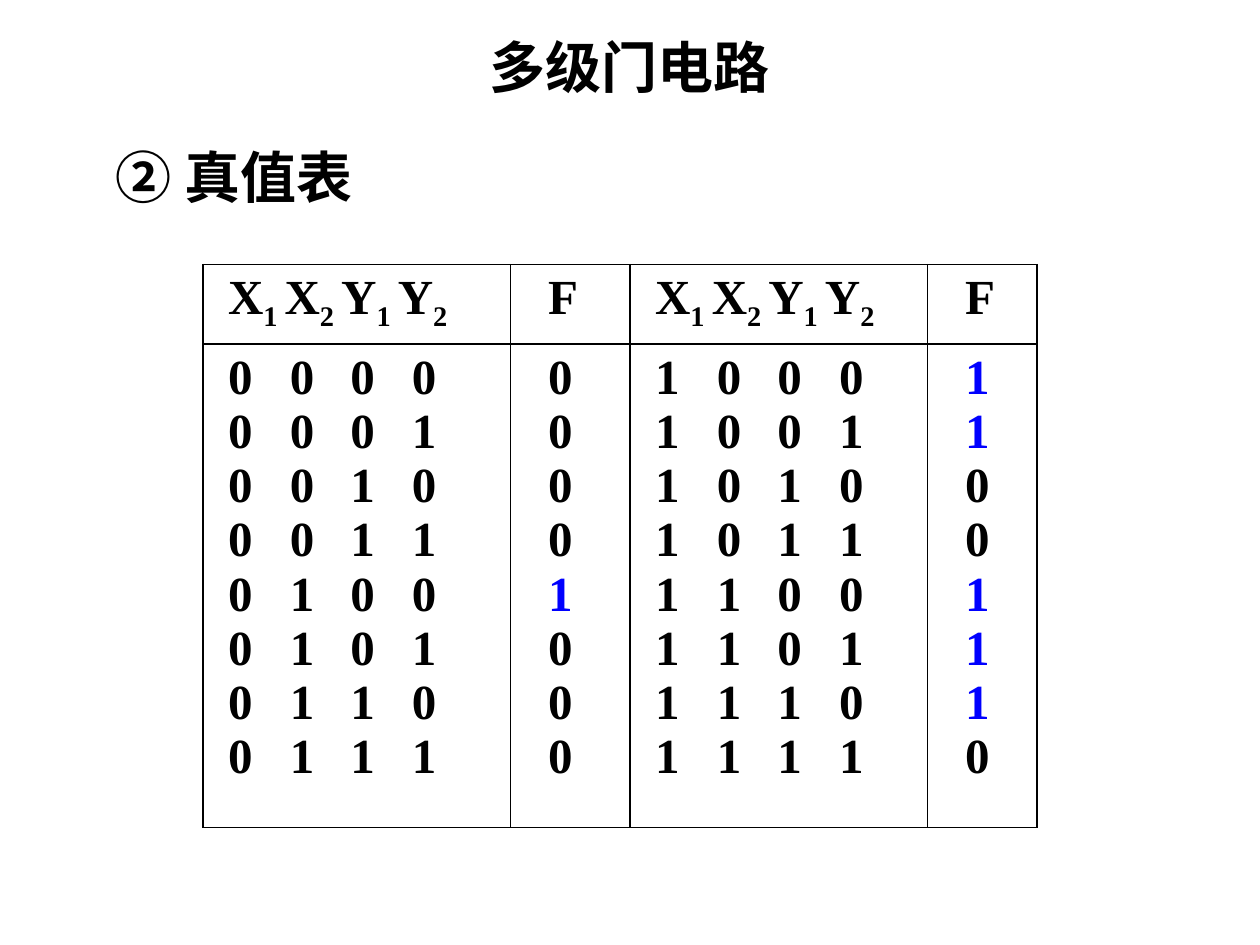
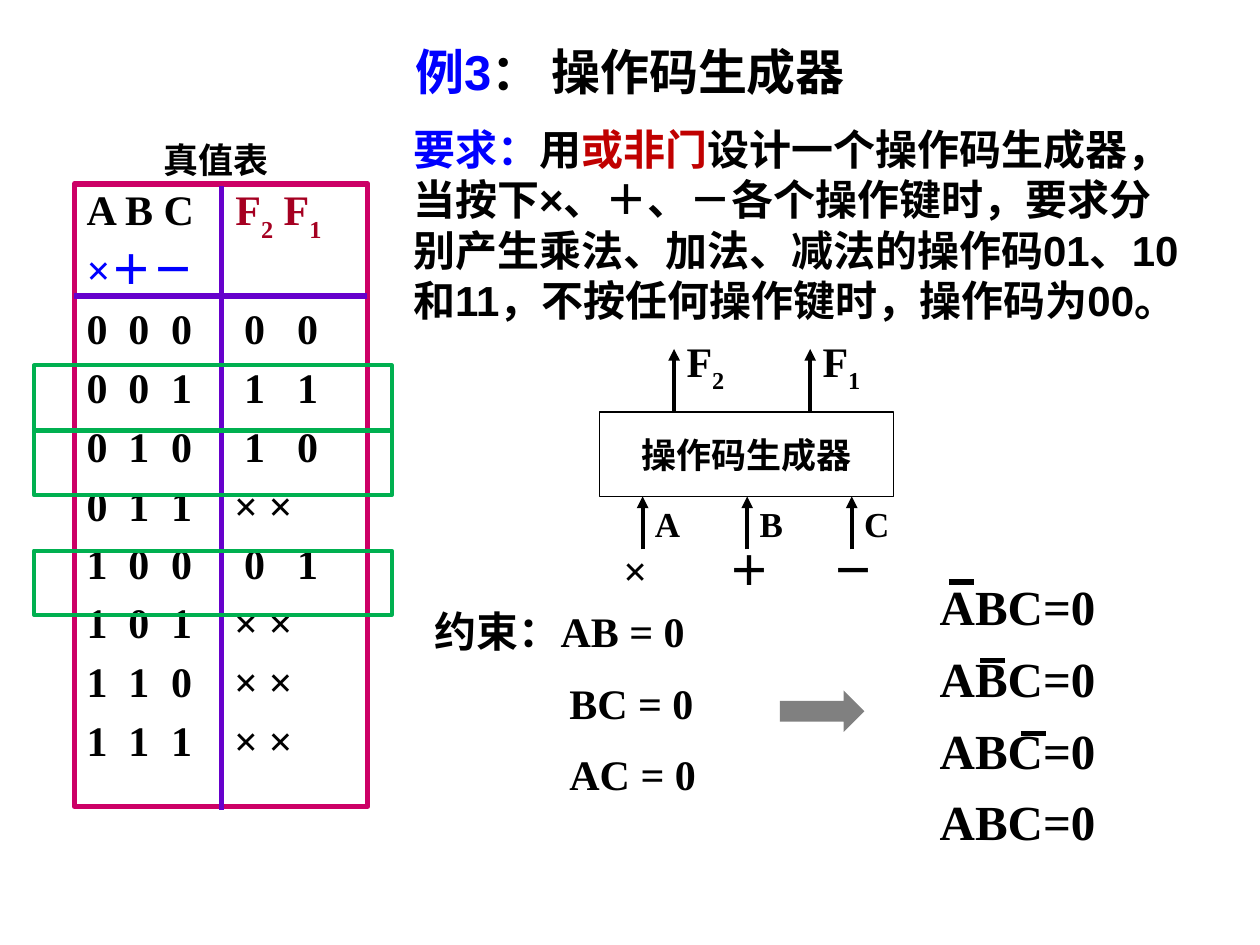
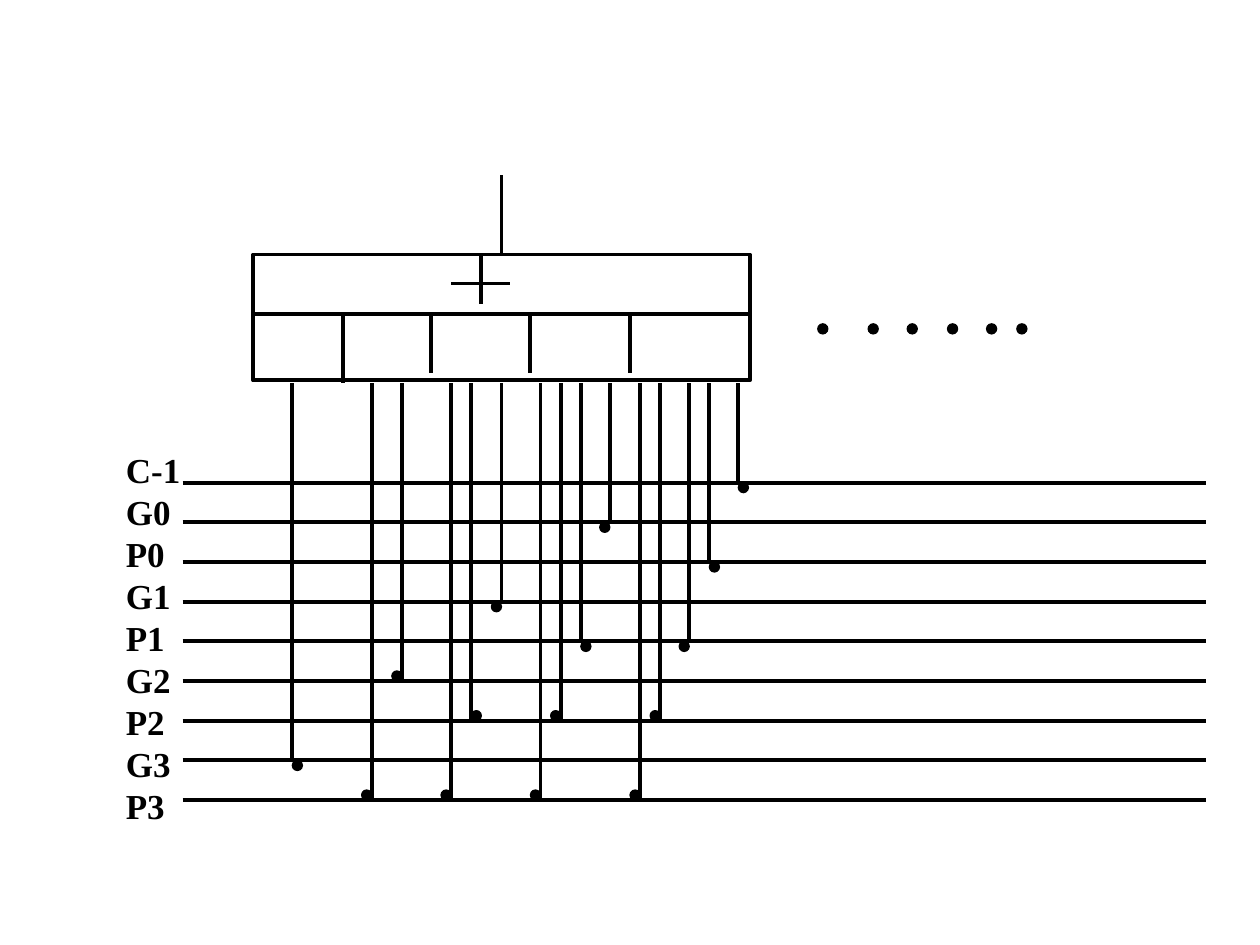
"""Build three slides on multilevel gate circuits, an opcode generator and a carry network."""
from lxml import etree
from pptx import Presentation
from pptx.dml.color import RGBColor
from pptx.enum.shapes import MSO_CONNECTOR, MSO_SHAPE
from pptx.enum.text import MSO_ANCHOR, PP_ALIGN
from pptx.oxml.ns import qn
from pptx.util import Inches, Pt

RECT, OVAL, ARROW = MSO_SHAPE.RECTANGLE, MSO_SHAPE.OVAL, MSO_SHAPE.RIGHT_ARROW
STRAIGHT = MSO_CONNECTOR.STRAIGHT
CENTER, MIDDLE, TOP, LEFT = PP_ALIGN.CENTER, MSO_ANCHOR.MIDDLE, MSO_ANCHOR.TOP, PP_ALIGN.LEFT
SANS, SERIF = "Arial", "Times New Roman"
COLORS = {"ink": "000000", "blue": "0000FF", "red": "C00000", "wine": "A50021", "white": "FFFFFF",
          "frame": "CC0066", "rule": "6600CC", "green": "00B050", "gray": "808080"}

GATE_TITLE = [("多级门电路", "ink")]
GATE_HEADING = [("② 真值表", "ink")]
GATE_INPUTS = [("X", "ink"), ("1 ", "ink", -25), ("X", "ink"), ("2 ", "ink", -25),
               ("Y", "ink"), ("1 ", "ink", -25), ("Y", "ink"), ("2", "ink", -25)]
GATE_OUTPUTS = ["00001000", "11001110"]
GATE_COLS, GATE_ROWS = [2.44, 0.95, 2.36, 0.87], [0.63, 3.83]
GATE_TABS = (0.49, 0.97, 1.46)

CODE_TITLE = [("例3", "blue"), ("： 操作码生成器", "ink")]
CODE_TASK = [("要求：", "blue"), ("用", "ink"), ("或非门", "red"),
             ("设计一个操作码生成器，当按下×、＋、－各个操作键时，要求分别产生乘法、加法、减法的"
              "操作码01、10和11，不按任何操作键时，操作码为00。", "ink")]
CODE_HEADER = [("A B C\t", "ink"), ("F", "wine"), ("2", "wine", -30), (" F", "wine"), ("1", "wine", -30)]
CODE_KEYS = [("×＋－", "blue")]
CODE_OUTPUTS = ["00", "11", "10", None, "01", None, None, None]
HEADER_TABS, OUTPUT_TABS, UNUSED_TABS = (1.18,), (0.33, 0.67, 1.25, 1.67), (0.33, 0.67, 1.17)
MARKED_ROWS = [2.9, 3.42, 4.37]
OUTPUTS = [("2", 5.35), ("1", 6.43)]
KEYS = [("A", "×"), ("B", "＋"), ("C", "－")]
CONSTRAINTS = ["约束：", "AB = 0", "BC = 0", "AC = 0"]
OVERBARS = [(7.53, 4.62), (7.78, 5.24), (8.1, 5.82)]

RAILS = ["C-1", "G0", "P0", "G1", "P1", "G2", "P2", "G3", "P3"]
RAISED = {"G2", "P2", "P3"}
TAPS = [(2.32, "G3", "right"), (2.95, "P3", "left"), (3.19, "G2", "left"), (3.58, "P3", "left"),
        (3.74, "P2", "right"), (3.98, "G1", "left"), (4.29, "P3", "left"), (4.45, "P2", "left"),
        (4.61, "P1", "right"), (4.84, "G0", "left"), (5.08, "P3", "left"), (5.24, "P2", "left"),
        (5.47, "P1", "left"), (5.63, "P0", "right"), (5.86, "C-1", "right")]
GATE_LINES = [(2.01, 2.49, 5.94, 2.49), (2.72, 2.49, 2.72, 3.04), (3.42, 2.49, 3.42, 2.96),
              (4.21, 2.49, 4.21, 2.96), (5, 2.49, 5, 2.96), (3.58, 2.25, 4.05, 2.25),
              (3.82, 2.02, 3.82, 2.41), (3.98, 2.02, 3.98, 1.39)]
ELLIPSIS = [6.49, 6.89, 7.2, 7.52, 7.83, 8.07]
DOT = 0.08


def rgb(name):
    return RGBColor.from_string(COLORS[name])


def add_tabs(p, stops):
    tab_list = etree.SubElement(p._p.get_or_add_pPr(), qn("a:tabLst"))
    for x in stops:
        etree.SubElement(tab_list, qn("a:tab"), pos=str(Inches(x)), algn="l")


def write(tf, paragraphs, size, font, align=LEFT, before=0, spacing=None, tabs=None):
    for i, runs in enumerate(paragraphs):
        p = tf.paragraphs[0] if i == 0 else tf.add_paragraph()
        if tabs and tabs[i]:
            add_tabs(p, tabs[i])
        p.alignment = align
        if spacing:
            p.line_spacing = spacing
        if i and before:
            p.space_before = Pt(before)
        for text, color, *base in runs:
            r = p.add_run()
            r.text = text
            r.font.size, r.font.name, r.font.bold = Pt(size), font, True
            r.font.color.rgb = rgb(color)
            if base:
                r.font._element.set("baseline", str(base[0] * 1000))


def add_text(s, box, paragraphs, size, font=SERIF, **style):
    tf = s.shapes.add_textbox(*map(Inches, box)).text_frame
    tf.word_wrap = True
    write(tf, paragraphs, size, font, **style)
    return tf


def add_title(s, top, runs, size):
    add_text(s, (0, top, 10, 0.6), [runs], size, SANS, align=CENTER)


def add_box(s, kind, box, fill=None, line=None, width=2.25):
    sp = s.shapes.add_shape(kind, *map(Inches, box))
    sp.shadow.inherit = False
    if fill:
        sp.fill.solid()
        sp.fill.fore_color.rgb = rgb(fill)
    else:
        sp.fill.background()
    if line:
        sp.line.color.rgb = rgb(line)
        sp.line.width = Pt(width)
    else:
        sp.line.fill.background()
    return sp


def add_line(s, x1, y1, x2, y2, color="ink", width=2.25, arrow=False):
    cn = s.shapes.add_connector(STRAIGHT, *map(Inches, (x1, y1, x2, y2)))
    cn.line.color.rgb = rgb(color)
    cn.line.width = Pt(width)
    if arrow:
        etree.SubElement(cn.line._get_or_add_ln(), qn("a:tailEnd"), type="triangle")
    etree.SubElement(cn._element.spPr, qn("a:effectLst"))


def add_dot(s, x, y):
    add_box(s, OVAL, (x, y, DOT, DOT), "ink", "ink", 0.75)


def border(cell):
    tc_pr = cell._tc.get_or_add_tcPr()
    for i, side in enumerate(("lnL", "lnR", "lnT", "lnB")):
        ln = etree.Element(qn("a:" + side), w=str(Pt(1)))
        fill = etree.SubElement(ln, qn("a:solidFill"))
        etree.SubElement(fill, qn("a:srgbClr"), val=COLORS["ink"])
        tc_pr.insert(i, ln)


def gate_slide(s):
    add_title(s, 0.21, GATE_TITLE, 32)
    add_text(s, (0.82, 1.08, 4.84, 0.63), [GATE_HEADING], 32, SANS)
    table = s.shapes.add_table(2, 4, Inches(1.61), Inches(2.1), Inches(sum(GATE_COLS)),
                               Inches(sum(GATE_ROWS))).table
    table.first_row = table.horz_banding = False
    for column, width in zip(table.columns, GATE_COLS):
        column.width = Inches(width)
    for row, height in zip(table.rows, GATE_ROWS):
        row.height = Inches(height)
    for half, outputs in enumerate(GATE_OUTPUTS):
        inputs = [[("\t".join(f"{half * 8 + i:04b}"), "ink")] for i in range(8)]
        results = [[(f, "blue" if f == "1" else "ink")] for f in outputs]
        for col, margin, head, body in ((2 * half, 0.2, GATE_INPUTS, inputs),
                                        (2 * half + 1, 0.3, [("F", "ink")], results)):
            for row, paragraphs in enumerate(([head], body)):
                cell = table.cell(row, col)
                cell.fill.background()
                border(cell)
                cell.margin_left = Inches(margin)
                write(cell.text_frame, paragraphs, 28, SERIF,
                      tabs=[GATE_TABS] * 8 if paragraphs is inputs else None)


def code_table(s):
    rows, tabs = [CODE_HEADER, CODE_KEYS], [HEADER_TABS, None]
    for i, out in enumerate(CODE_OUTPUTS):
        cells = [*f"{i:03b}", *(out or ["× ×"])]
        rows.append([("\t".join(cells), "ink")])
        tabs.append(OUTPUT_TABS if out else UNUSED_TABS)
    tf = add_box(s, RECT, (0.59, 1.46, 2.33, 4.94), "white", "frame", 3).text_frame
    tf.vertical_anchor = TOP
    write(tf, rows, 24, SERIF, before=12, spacing=0.75, tabs=tabs)
    caption = add_text(s, (1.3, 1.05, 1.5, 0.43), [[("真值表", "ink")]], 20)
    caption.margin_left = caption.margin_right = 0
    add_line(s, 1.76, 1.48, 1.76, 6.43, "rule", 3)
    add_line(s, 0.59, 2.35, 2.91, 2.35, "rule", 3)


def code_slide(s):
    code_table(s)
    tf = add_box(s, RECT, (4.76, 3.27, 2.33, 0.67), None, "ink", 0.75).text_frame
    tf.word_wrap = False
    tf.vertical_anchor = MIDDLE
    write(tf, [[("操作码生成器", "ink")]], 20, SANS, align=CENTER)
    for digit, x in OUTPUTS:
        add_line(s, x, 3.27, x, 2.77, arrow=True)
        add_text(s, (x, 2.61, 0.75, 0.5), [[("F", "ink"), (digit, "ink", -30)]], 24)
    for i, (name, key) in enumerate(KEYS):
        x = 5.1 + 0.83 * i
        add_line(s, x, 4.36, x, 3.94, arrow=True)
        add_text(s, (x - 0.25, 4.27, 0.83, 0.5), [[(key, "ink")]], 24)
        add_text(s, (x, 3.94, 0.5, 0.43), [[(name, "ink")]], 20)
    label, *equations = CONSTRAINTS
    tf = add_text(s, (3.35, 4.76, 2.51, 1.72),
                  [[(label, "ink"), (equations[0], "ink")]] + [[(e, "ink")] for e in equations[1:]],
                  24, before=12)
    tf.paragraphs[0].runs[0].font.name = SANS
    for p in tf.paragraphs[1:]:
        p._p.get_or_add_pPr().set("marL", str(Inches(1.07)))
    add_text(s, (3.18, 0.93, 6.39, 1.72), [CODE_TASK], 24, SANS)
    for y in MARKED_ROWS:
        add_box(s, RECT, (0.27, y, 2.84, 0.51), None, "green")
    add_title(s, 0.28, CODE_TITLE, 28)
    add_box(s, ARROW, (6.19, 5.48, 0.67, 0.33), "gray")
    add_text(s, (7.36, 4.62, 1.58, 2.3), [[("ABC=0", "ink")]] * 4, 28, before=14, spacing=0.8)
    for x, y in OVERBARS:
        add_line(s, x, y, x + 0.2, y, width=3)


def carry_slide(s):
    rail_y = {name: 3.83 + 0.315 * i for i, name in enumerate(RAILS)}
    for y in rail_y.values():
        add_line(s, 1.45, y, 9.57, y)
    add_text(s, (0.9, 3.51, 0.75, 3.5), [[(name, "ink")] for name in RAILS], 20)
    add_box(s, RECT, (2.01, 2.02, 3.94, 1), None, "ink")
    for ends in GATE_LINES:
        add_line(s, *ends)
    for x, rail, side in TAPS:
        y = rail_y[rail]
        add_line(s, x, 3.04, x, y)
        add_dot(s, x - DOT if side == "left" else x, y - DOT if rail in RAISED else y)
    for x in ELLIPSIS:
        add_dot(s, x, 2.57)


def main():
    prs = Presentation()
    prs.slide_width, prs.slide_height = Inches(10), Inches(7.5)
    for build in (gate_slide, code_slide, carry_slide):
        build(prs.slides.add_slide(prs.slide_layouts[6]))
    prs.save("out.pptx")


if __name__ == "__main__":
    main()
